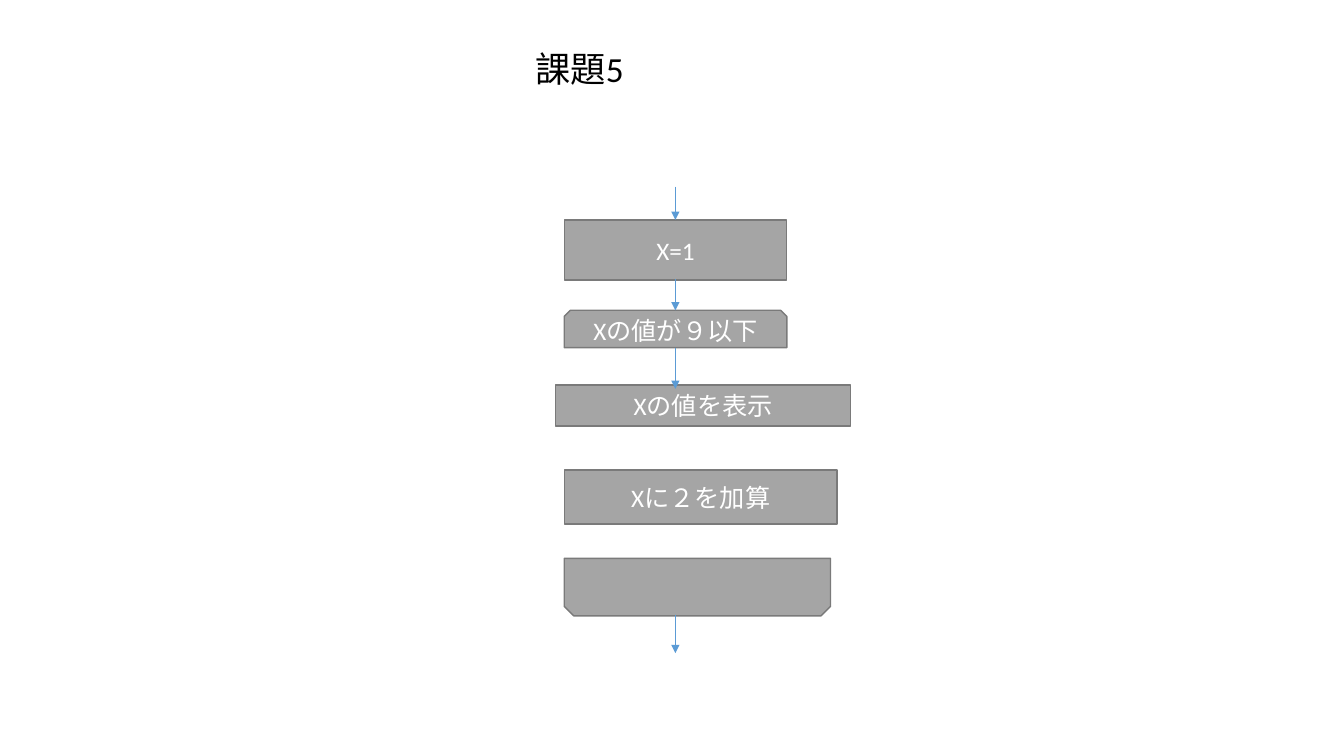
import dataclasses

import lxml.etree
import pptx
import pptx.dml.color
import pptx.enum.shapes
import pptx.enum.text
import pptx.oxml.ns
import pptx.util

Cm = pptx.util.Cm
Shape = pptx.enum.shapes.MSO_SHAPE


@dataclasses.dataclass(frozen=True)
class Theme:
    """Colours, font and sizes of the flowchart."""
    font: str = "Calibri"
    ink: str = "000000"
    box_text: str = "FFFFFF"
    box_fill: str = "A5A5A5"
    box_edge: str = "7A7A7A"
    arrow: str = "5B9BD5"
    title_size: float = 25.2
    box_size: float = 18
    edge_width: float = 1
    arrow_width: float = 0.5


def colour(code):
    """Turn a hex code into a colour."""
    return pptx.dml.color.RGBColor.from_string(code)


def write(frame, text, *, font, size, ink, line_spacing=1.0):
    """Write one centred paragraph in the middle of a text frame."""
    frame.word_wrap = True
    frame.vertical_anchor = pptx.enum.text.MSO_ANCHOR.MIDDLE
    para = frame.paragraphs[0]
    para.alignment = pptx.enum.text.PP_ALIGN.CENTER
    para.line_spacing = line_spacing
    span = para.add_run()
    span.text = text
    span.font.name = font
    span.font.size = pptx.util.Pt(size)
    span.font.color.rgb = colour(ink)


class FlowPage:
    """Draws flowchart elements on one slide in one style."""

    def __init__(self, deck, theme):
        """Add a blank slide to the deck."""
        self.theme = theme
        self.page = deck.slides.add_slide(deck.slide_layouts[6])

    def title(self, text, left, top, width, height):
        """Add the heading."""
        box = self.page.shapes.add_textbox(Cm(left), Cm(top), Cm(width), Cm(height))
        write(box.text_frame, text, font=self.theme.font,
              size=self.theme.title_size, ink=self.theme.ink, line_spacing=0.9)

    def step(self, kind, text, left, top, width, height, rotation=0):
        """Add a flowchart step."""
        box = self.page.shapes.add_shape(kind, Cm(left), Cm(top), Cm(width), Cm(height))
        box.rotation = rotation
        box.shadow.inherit = False
        box.fill.solid()
        box.fill.fore_color.rgb = colour(self.theme.box_fill)
        box.line.color.rgb = colour(self.theme.box_edge)
        box.line.width = pptx.util.Pt(self.theme.edge_width)
        if text:
            write(box.text_frame, text, font=self.theme.font,
                  size=self.theme.box_size, ink=self.theme.box_text)

    def arrow(self, x, top, bottom):
        """Add a downward arrow."""
        arrow = self.page.shapes.add_connector(
            pptx.enum.shapes.MSO_CONNECTOR.STRAIGHT, Cm(x), Cm(top), Cm(x), Cm(bottom))
        arrow.line.color.rgb = colour(self.theme.arrow)
        arrow.line.width = pptx.util.Pt(self.theme.arrow_width)
        qn = pptx.oxml.ns.qn
        properties = arrow.element.spPr
        lxml.etree.SubElement(properties.find(qn("a:ln")), qn("a:tailEnd"), type="triangle")
        lxml.etree.SubElement(properties, qn("a:effectLst"))


def main():
    """Build the flowchart slide."""
    deck = pptx.Presentation()
    deck.slide_width, deck.slide_height = Cm(33.87), Cm(19.05)
    flow = FlowPage(deck, Theme())
    flow.title("課題5", 0, 1, 29.21, 1.6)

    left, axis = 14.22, 17.02
    steps = [
        (Shape.RECTANGLE, "X=1", left, 5.54, 5.61, 1.52),
        (Shape.SNIP_2_SAME_RECTANGLE, "Xの値が９以下", left, 7.82, 5.61, 0.94),
        (Shape.RECTANGLE, "Xの値を表示", 14, 9.7, 7.44, 1.04),
        (Shape.RECTANGLE, "Xに２を加算", left, 11.84, 6.88, 1.37),
        (Shape.SNIP_2_SAME_RECTANGLE, "", left, 14.07, 6.71, 1.45, 180),
    ]
    for step in steps:
        flow.step(*step)
    for top, bottom in [(4.7, 5.54), (7.04, 7.82), (8.76, 9.8), (15.49, 16.46)]:
        flow.arrow(axis, top, bottom)
    deck.save("out.pptx")


if __name__ == "__main__":
    main()
